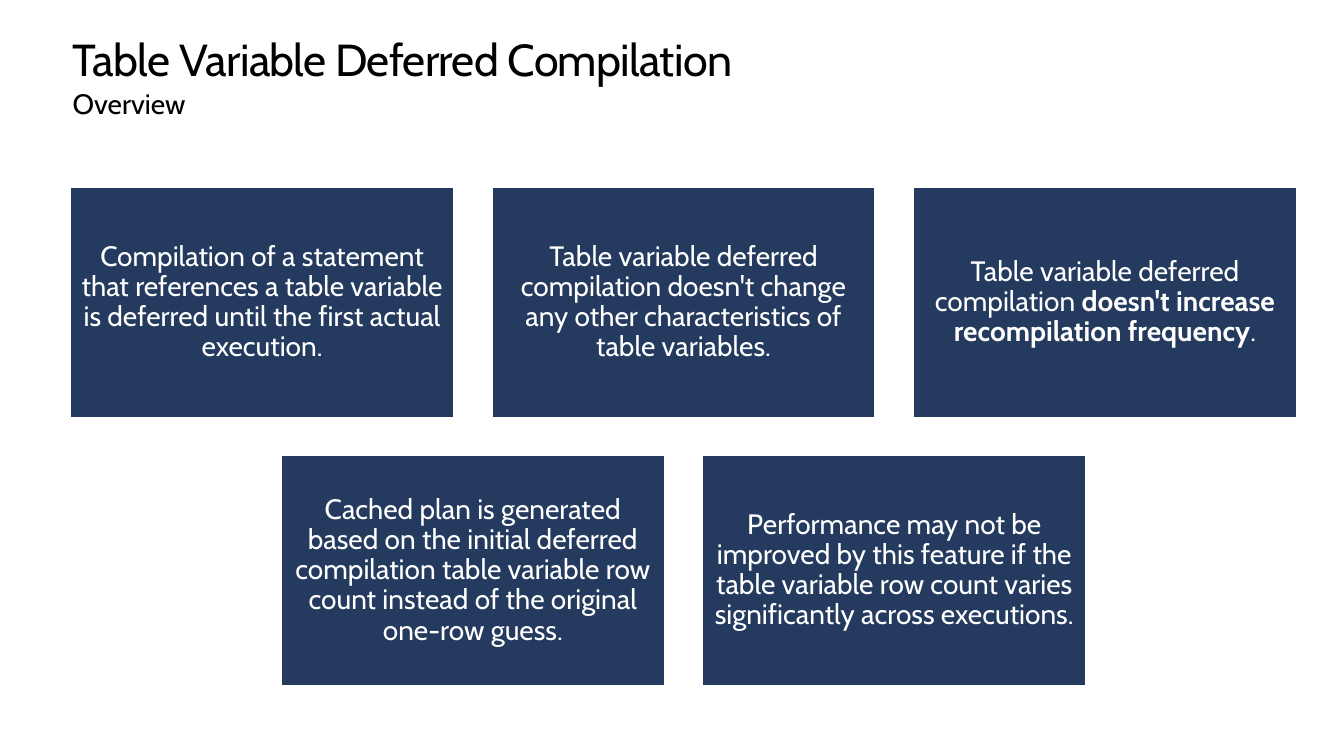
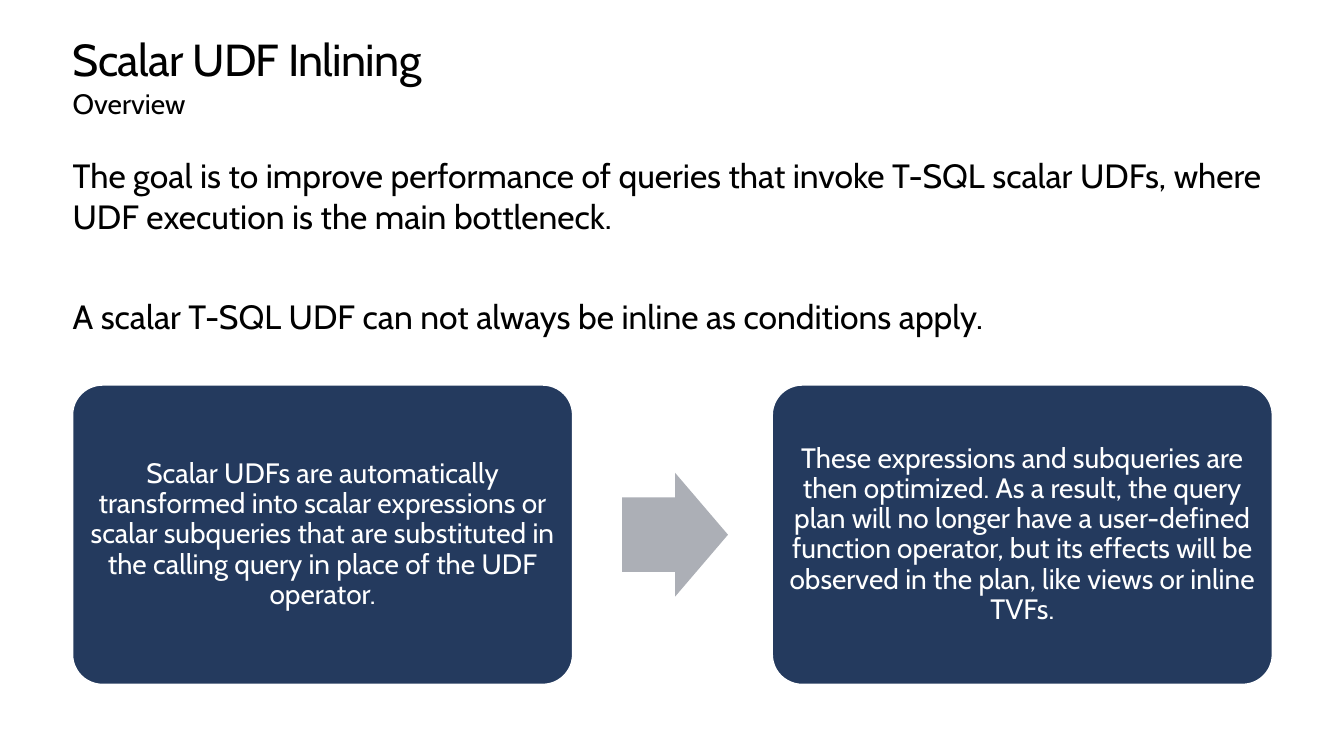
from pptx import Presentation, util as u
from pptx.dml.color import RGBColor
from pptx.enum import shapes, text

NAVY = RGBColor(0x24, 0x3A, 0x5E)
GRAY = RGBColor(0xAC, 0xAF, 0xB6)
WHITE = RGBColor(0xFF, 0xFF, 0xFF)
BLACK = RGBColor(0x00, 0x00, 0x00)

FONT = "Cabin"
LEFT, CONTENT_WIDTH = 0.72, 11.9
TITLE_FONT = {"name": FONT, "size": u.Pt(32)}
BODY_FONT = {"name": FONT, "size": u.Pt(24)}
SMALL_FONT = {"name": FONT, "size": u.Pt(20)}
CARD_PARAGRAPH = {"alignment": text.PP_ALIGN.CENTER, "line_spacing": 0.9}


def apply_format(target, values):
    for name, value in values.items():
        setattr(target, name, value)


def inches(*lengths):
    return [u.Inches(length) for length in lengths]


def set_frame(frame, margin, anchor):
    apply_format(frame, {"word_wrap": True, "vertical_anchor": anchor})
    for side in ("left", "top", "right", "bottom"):
        setattr(frame, f"margin_{side}", u.Inches(margin))


def add_run(paragraph, content, font, color, bold=False):
    run = paragraph.add_run()
    run.text = content
    apply_format(run.font, {**font, "bold": bold})
    run.font.color.rgb = color
    return run


def add_text(slide, top, height, paragraphs, font, gap=0):
    """Add a full-width text box, with a gap in points between paragraphs."""
    box = slide.shapes.add_textbox(*inches(LEFT, top, CONTENT_WIDTH, height))
    frame = box.text_frame
    set_frame(frame, 0, text.MSO_ANCHOR.TOP)
    for index, content in enumerate(paragraphs):
        paragraph = frame.add_paragraph() if index else frame.paragraphs[0]
        if index:
            paragraph.space_before = u.Pt(gap)
        add_run(paragraph, content, font, BLACK)
    return frame


def add_heading(slide, title, subtitle):
    paragraph = add_text(slide, 0.35, 0.5, [title], TITLE_FONT).paragraphs[0]
    paragraph.line_spacing = u.Pt(36.2)
    # Tightened letter spacing, in hundredths of a point
    paragraph.runs[0].font._element.set("spc", "-50")
    add_text(slide, 0.86, 0.5, [subtitle], SMALL_FONT)


def add_filled_shape(slide, kind, bounds, color, adjustments=()):
    shape = slide.shapes.add_shape(kind, *inches(*bounds))
    shape.shadow.inherit = False
    shape.fill.solid()
    shape.fill.fore_color.rgb = color
    shape.line.fill.background()
    for index, value in enumerate(adjustments):
        shape.adjustments[index] = value
    return shape


def add_card(slide, kind, bounds, runs, adjustments=()):
    """Add a navy card; runs is a list of (text, bold) pairs."""
    card = add_filled_shape(slide, kind, bounds, NAVY, adjustments)
    card.line.color.rgb = WHITE
    card.line.width = u.Pt(1)
    set_frame(card.text_frame, 0.08, text.MSO_ANCHOR.MIDDLE)
    paragraph = card.text_frame.paragraphs[0]
    apply_format(paragraph, CARD_PARAGRAPH)
    for content, bold in runs:
        add_run(paragraph, content, SMALL_FONT, WHITE, bold)


def build_deferred_compilation(slide):
    add_heading(slide, "Table Variable Deferred Compilation", "Overview")

    # Card grid: the shorter second row is centred under the first
    rows = [
        [
            [("Compilation of a statement that references a table variable is "
              "deferred until the first actual execution.", False)],
            [("Table variable deferred compilation doesn't change any other "
              "characteristics of table variables.", False)],
            [("Table variable deferred compilation ", False),
             ("doesn't increase recompilation frequency", True),
             (".", False)],
        ],
        [
            [("Cached plan is generated based on the initial deferred compilation "
              "table variable row count instead of the original one-row guess.", False)],
            [("Performance may not be improved by this feature if the table variable "
              "row count varies significantly across executions.", False)],
        ],
    ]
    left, top, width, height, gap = 0.7, 1.86, 3.8, 2.28, 0.38
    for row_index, row in enumerate(rows):
        indent = (len(rows[0]) - len(row)) * (width + gap) / 2
        for column, runs in enumerate(row):
            bounds = (left + indent + column * (width + gap),
                      top + row_index * (height + gap), width, height)
            add_card(slide, shapes.MSO_SHAPE.RECTANGLE, bounds, runs)


def build_udf_inlining(slide):
    add_heading(slide, "Scalar UDF Inlining", "Overview")
    add_text(slide, 1.54, 2.21, [
        "The goal is to improve performance of queries that invoke T-SQL scalar "
        "UDFs, where UDF execution is the main bottleneck.",
        "A scalar T-SQL UDF can not always be inline as conditions apply.",
    ], BODY_FONT, gap=42.6)

    # Two steps at the content edges, with an arrow between them
    steps = [
        "Scalar UDFs are automatically transformed into scalar expressions or scalar "
        "subqueries that are substituted in the calling query in place of the UDF "
        "operator.",
        "These expressions and subqueries are then optimized. As a result, the query "
        "plan will no longer have a user-defined function operator, but its effects "
        "will be observed in the plan, like views or inline TVFs.",
    ]
    top, width, height = 3.82, 4.96, 2.97
    for index, content in enumerate(steps):
        left = LEFT + index * (CONTENT_WIDTH - width)
        add_card(slide, shapes.MSO_SHAPE.ROUNDED_RECTANGLE,
                 (left, top, width, height), [(content, False)], [0.1])
    arrow_width, arrow_height = 1.05, 1.23
    add_filled_shape(slide, shapes.MSO_SHAPE.RIGHT_ARROW,
                     (6.17, top + (height - arrow_height) / 2, arrow_width, arrow_height),
                     GRAY, [0.6, 0.5])


def main():
    presentation = Presentation()
    presentation.slide_width, presentation.slide_height = inches(13.33, 7.5)
    blank_layout = presentation.slide_layouts[6]
    for build in (build_deferred_compilation, build_udf_inlining):
        build(presentation.slides.add_slide(blank_layout))
    presentation.save("out.pptx")


if __name__ == "__main__":
    main()
